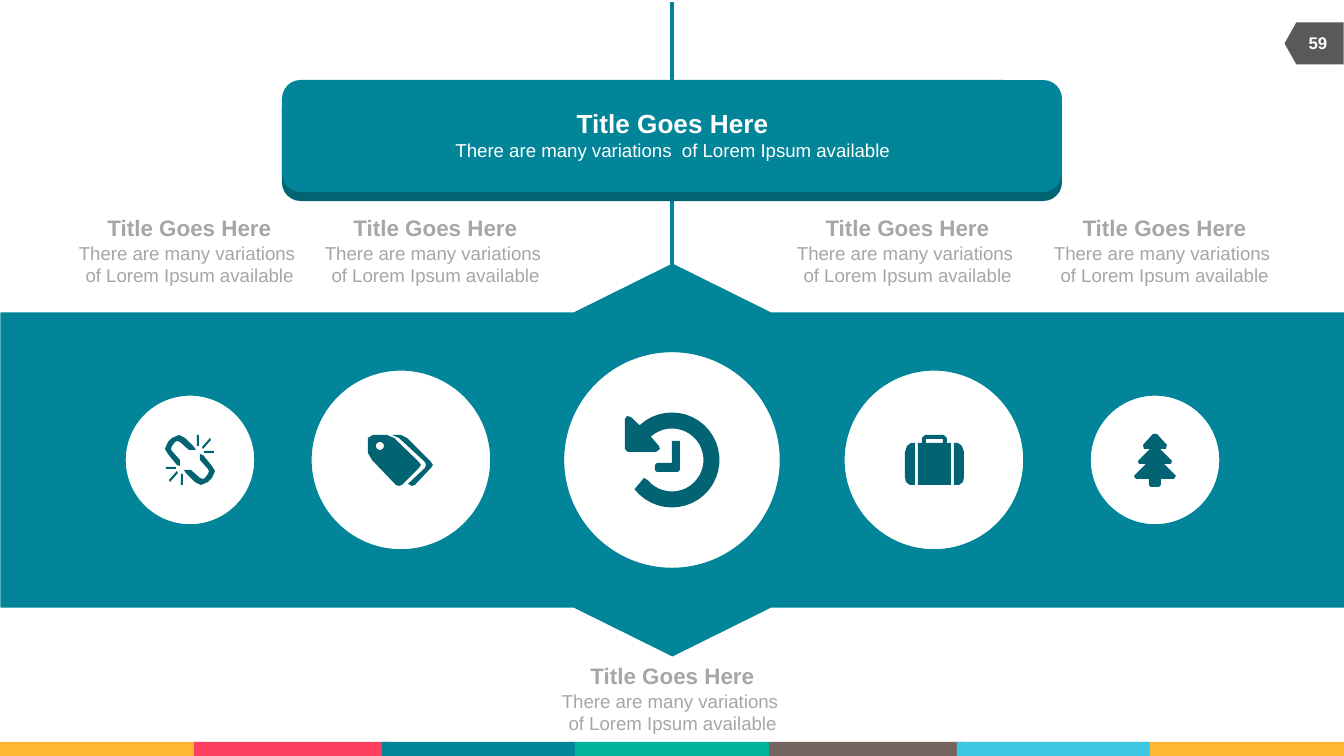
from copy import deepcopy
from math import cos, radians, sin

from pptx import Presentation
from pptx.dml.color import RGBColor
from pptx.enum.shapes import MSO_CONNECTOR, MSO_SHAPE
from pptx.enum.text import MSO_ANCHOR, MSO_AUTO_SIZE, PP_ALIGN
from pptx.oxml.ns import qn
from pptx.util import Pt
from lxml import etree

RECT, ROUND_RECT, ELLIPSE = MSO_SHAPE.RECTANGLE, MSO_SHAPE.ROUNDED_RECTANGLE, MSO_SHAPE.OVAL
PAGE_TAG = MSO_SHAPE.FLOWCHART_OFFPAGE_CONNECTOR
BAND = MSO_SHAPE.LEFT_RIGHT_ARROW_CALLOUT
STRAIGHT = MSO_CONNECTOR.STRAIGHT
TOP, MIDDLE = MSO_ANCHOR.TOP, MSO_ANCHOR.MIDDLE
CENTER = PP_ALIGN.CENTER
NO_AUTOFIT = MSO_AUTO_SIZE.NONE

EMU_PER_PX = 914400 / 134.4
TEAL, DARK_TEAL, WHITE, GREY, DARK_GREY = "028599", "026473", "FFFFFF", "A6A6A6", "595959"
HEADING = "Title Goes Here"
MID_X, MID_Y = 672, 460


def px(value):
    return round(value * EMU_PER_PX)


def rgb(value):
    return RGBColor.from_string(value)


def arc(x, y, radius, start, end, steps=32):
    """Points along an arc, in degrees clockwise from the right."""
    angles = [radians(start + (end - start) * i / steps) for i in range(steps + 1)]
    return [(x + radius * cos(a), y + radius * sin(a)) for a in angles]


def mirror(points, axis):
    return [(2 * axis - x, y) for x, y in reversed(points)]


def half_turn(points, x0, y0):
    return [(2 * x0 - x, 2 * y0 - y) for x, y in points]


class Deck:
    font = "Arial"

    def __init__(self, width, height):
        self.prs = Presentation()
        self.prs.slide_width, self.prs.slide_height = px(width), px(height)
        self.slide = self.prs.slides.add_slide(self.prs.slide_layouts[5])
        self.shapes = self.slide.shapes

    def paint(self, shape, fill, line=None, line_pt=0):
        shape.shadow.inherit = False
        shape.fill.solid()
        shape.fill.fore_color.rgb = rgb(fill)
        if line:
            shape.line.color.rgb = rgb(line)
            shape.line.width = Pt(line_pt)
        else:
            shape.line.fill.background()

    def shape(self, kind, x, y, w, h, fill, line=None, line_pt=0):
        shape = self.shapes.add_shape(kind, px(x), px(y), px(w), px(h))
        self.paint(shape, fill, line, line_pt)
        return shape

    def connector(self, x1, y1, x2, y2, color, width=2.25):
        line = self.shapes.add_connector(STRAIGHT, px(x1), px(y1), px(x2), px(y2))
        line.line.color.rgb = rgb(color)
        line.line.width = Pt(width)
        etree.SubElement(line._element.spPr, qn("a:effectLst"))

    def icon(self, contours, fill):
        outlines = [[(px(x), px(y)) for x, y in contour] for contour in contours]
        builder = self.shapes.build_freeform(*outlines[0][0])
        for i, points in enumerate(outlines):
            if i:
                builder.move_to(*points[0])
            builder.add_line_segments(points[1:], close=True)
        self.paint(builder.convert_to_shape(), fill)

    def set_lines(self, box, lines, color, anchor=TOP):
        """Fill a box with (text, size, bold) paragraphs."""
        frame = box.text_frame
        frame.word_wrap = True
        frame.auto_size = NO_AUTOFIT
        frame.vertical_anchor = anchor
        for i, (text, size, bold) in enumerate(lines):
            paragraph = frame.add_paragraph() if i else frame.paragraphs[0]
            paragraph.text = text
            paragraph.alignment = CENTER
            for run in paragraph.runs:
                run.font.name, run.font.size, run.font.bold = self.font, Pt(size), bold
                run.font.color.rgb = rgb(color)
            # Line breaks take the run's format, so that line heights match
            for line_break in paragraph._p.findall(qn("a:br")):
                line_break.append(deepcopy(paragraph.runs[0]._r.rPr))

    def text(self, x, y, w, h, lines, color, anchor=TOP):
        box = self.shapes.add_textbox(px(x), px(y), px(w), px(h))
        self.set_lines(box, lines, color, anchor)

    def title(self, x, y, w, h, lines, color):
        title = self.shapes.title
        title.left, title.top, title.width, title.height = px(x), px(y), px(w), px(h)
        self.set_lines(title, lines, color)
        # Bring the title in front of the banner
        title.element.getparent().append(title.element)


# Icon outlines
history = [
    arc(MID_X, MID_Y, 47.5, -133, 142) + [(644, 478)] + arc(MID_X, MID_Y, 31.5, 140, -132)
    + [(659, 446), (660, 449), (656, 452), (628, 452), (625, 449), (625, 419), (627, 416), (631, 417)],
    [(680, 441), (680, 470), (678, 472), (657, 472), (655, 470), (655, 465), (657, 463),
     (672, 463), (672, 441)],
]
tags = [
    [(419, 468), (402, 485), (399, 486), (396, 485), (372, 460), (368, 453), (368, 438),
     (373, 435), (387, 435), (394, 438), (419, 462), (421, 465)],
    arc(380, 446, 4, 0, 360),
    [(431, 468), (415, 485), (412, 486), (408, 484), (425, 468), (426, 465), (425, 462),
     (399, 438), (392, 435), (401, 435), (407, 438), (431, 462), (433, 465)],
]
case_side = [(915, 485), (910, 485), (906, 482), (905, 477), (905, 452), (907, 446),
             (911, 443), (915, 443)]
suitcase = [
    case_side,
    [(918, 485), (951, 485), (951, 443), (947, 443), (947, 438), (944, 435), (925, 435),
     (922, 438), (922, 443), (918, 443)],
    [(926, 443), (926, 439), (943, 439), (943, 443)],
    mirror(case_side, 934.5),
]
chain_half = [
    [(189, 450), (180, 442), (177, 441), (175, 442), (172, 446), (171, 449), (172, 451),
     (180, 460), (180, 466), (177, 465), (168, 454), (165, 449), (168, 442), (172, 438),
     (179, 435), (185, 438), (194, 447), (196, 450)],
    [(166, 467), (176, 467), (176, 469), (166, 469)],
    [(169, 480), (177, 471), (178, 473), (170, 482)],
    [(181, 474), (183, 474), (183, 485), (181, 485)],
]
broken_chain = chain_half + [half_turn(part, 190, 460) for part in chain_half]
tree_side = [(1157, 434), (1167, 445), (1166, 449), (1160, 449), (1172, 461), (1171, 464),
             (1164, 464), (1176, 476), (1174, 479), (1161, 479), (1161, 485), (1159, 487)]
tree = [tree_side + mirror(tree_side, 1155)]

deck = Deck(1344, 756)

# Footer stripes and page number
stripes = [(0, "FEB834"), (194, "FF3F5F"), (382, TEAL), (575, "01B59C"),
           (769, "73655D"), (957, "3BC7E2"), (1150, "FEB834")]
for left, color in stripes:
    deck.shape(RECT, left, 742, 194, 14, color)
deck.shape(PAGE_TAG, 1293, 14, 42, 59, DARK_GREY).rotation = 90
deck.text(1290, 23, 56, 40, [("59", 9, True)], WHITE, MIDDLE)

# Band with an arrow at top and bottom
deck.connector(MID_X, 200, MID_X, 284, TEAL)
band = deck.shape(BAND, 476, -212, 393, 1344, TEAL)
band.rotation = 270
for i, value in enumerate((0.5, 0.25, 0.124, 0.751)):
    band.adjustments[i] = value

# Banner
deck.connector(MID_X, 2, MID_X, 85, TEAL)
for top, color in ((89, DARK_TEAL), (80, TEAL)):
    deck.shape(ROUND_RECT, 282, top, 780, 112, color)
deck.title(378, 101, 589, 67, [
    (HEADING, 14, True),
    ("There are many variations  of Lorem Ipsum available", 10, False),
], WHITE)

# Circles with icons
circles = [(190, 137, broken_chain), (401, 187, tags), (MID_X, 224, history),
           (934, 187, suitcase), (1155, 137, tree)]
for center, size, outline in circles:
    deck.shape(ELLIPSE, center - size / 2, MID_Y - size / 2, size, size, WHITE, TEAL, 4.5)
    deck.icon(outline, DARK_TEAL)

# Captions
caption = [(HEADING, 12, True),
           ("There are many variations \vof Lorem Ipsum available", 10, False)]
for left, top in ((56, 208), (302, 208), (774, 208), (1031, 208), (539, 656)):
    deck.text(left, top, 267, 86, caption, GREY)

deck.prs.save("out.pptx")
